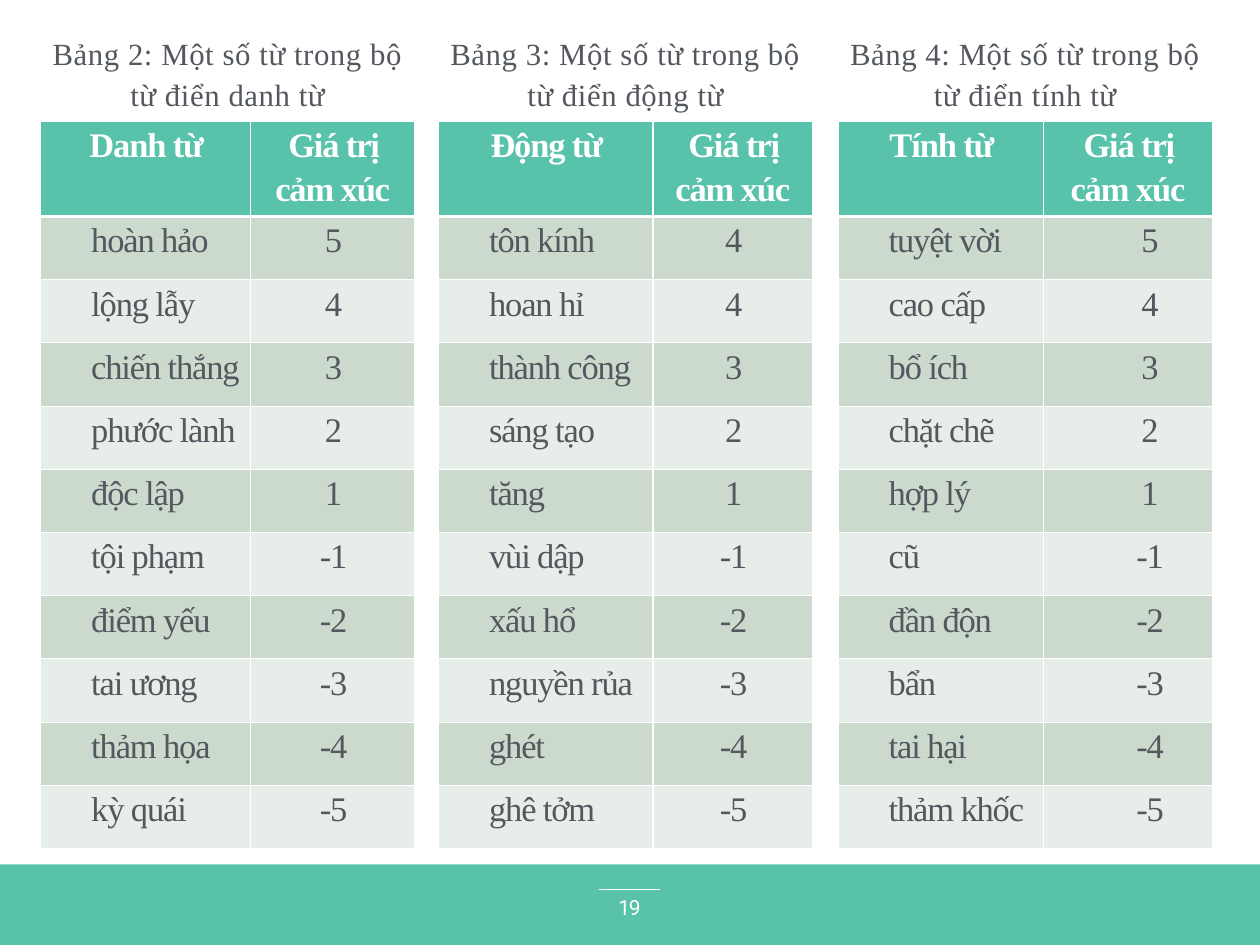
from pptx import Presentation
from pptx.dml.color import RGBColor
from pptx.enum.shapes import MSO_CONNECTOR, MSO_SHAPE
from pptx.enum.text import MSO_ANCHOR, PP_ALIGN
from pptx.oxml.ns import qn
from pptx.util import Inches, Pt
from lxml.etree import SubElement

COLOURS = {
    "band": "58C3A9",
    "header": "58C3AA",
    "odd_row": "CCDACD",
    "even_row": "E7EDE8",
    "ink": "53585F",
    "white": "FFFFFF",
}

DICTIONARIES = [
    {
        "caption": "Bảng 2: Một số từ trong bộ từ điển danh từ",
        "kind": "Danh từ",
        "left": 0.46,
        "columns": (2.37, 1.85),
        "word_align": PP_ALIGN.LEFT,
        "score_indent": 0.02,
        "words": ["hoàn hảo", "lộng lẫy", "chiến thắng", "phước lành", "độc lập",
                  "tội phạm", "điểm yếu", "tai ương", "thảm họa", "kỳ quái"],
        "scores": [5, 4, 3, 2, 1, -1, -2, -3, -4, -5],
    },
    {
        "caption": "Bảng 3: Một số từ trong bộ từ điển động từ",
        "kind": "Động từ",
        "left": 4.95,
        "columns": (2.42, 1.8),
        "word_align": PP_ALIGN.JUSTIFY,
        "score_indent": 0.02,
        "words": ["tôn kính", "hoan hỉ", "thành công", "sáng tạo", "tăng",
                  "vùi dập", "xấu hổ", "nguyền rủa", "ghét", "ghê tởm"],
        "scores": [4, 4, 3, 2, 1, -1, -2, -3, -4, -5],
    },
    {
        "caption": "Bảng 4: Một số từ trong bộ từ điển tính từ",
        "kind": "Tính từ",
        "left": 9.46,
        "columns": (2.32, 1.9),
        "word_align": PP_ALIGN.JUSTIFY,
        "score_indent": 0.5,
        "words": ["tuyệt vời", "cao cấp", "bổ ích", "chặt chẽ", "hợp lý",
                  "cũ", "đần độn", "bẩn", "tai hại", "thảm khốc"],
        "scores": [5, 4, 3, 2, 1, -1, -2, -3, -4, -5],
    },
]

SLIDE_WIDTH, SLIDE_HEIGHT = 14.22, 10.67
TABLE_TOP, TABLE_WIDTH, TABLE_HEIGHT, HEADER_HEIGHT = 1.37, 4.22, 8.21, 1.07


def assign(target, values):
    """Set every named attribute of the target."""
    for name, value in values.items():
        setattr(target, name, value)


class SlideBuilder:
    """Holds the shared style and the slide being filled."""

    serif = "Times New Roman"
    sans = "Roboto"

    def __init__(self, slide):
        self.slide = slide

    def colour(self, name):
        """Return the named colour."""
        return RGBColor.from_string(COLOURS[name])

    def paragraph(self, frame, text, font, colour, spacing, **paragraph_format):
        """Fill a text frame with one formatted paragraph."""
        paragraph = frame.paragraphs[0]
        assign(paragraph, paragraph_format)
        run = paragraph.add_run()
        run.text = text
        assign(run.font, font)
        run.font.color.rgb = self.colour(colour)
        run.font._element.set("spc", str(round(spacing * 100)))
        return paragraph

    def text(self, box, content, font, colour, spacing, line_spacing, inset):
        """Add a centred text box."""
        frame = self.slide.shapes.add_textbox(*map(Inches, box)).text_frame
        margins = ("margin_left", "margin_top", "margin_right", "margin_bottom")
        assign(frame, dict.fromkeys(margins, Inches(inset)))
        assign(frame, {"word_wrap": True, "vertical_anchor": MSO_ANCHOR.MIDDLE})
        self.paragraph(frame, content, font, colour, spacing,
                       alignment=PP_ALIGN.CENTER, line_spacing=line_spacing)

    def band(self, box, colour):
        """Add a plain filled rectangle."""
        band = self.slide.shapes.add_shape(MSO_SHAPE.RECTANGLE, *map(Inches, box))
        band.shadow.inherit = False
        band.fill.solid()
        band.fill.fore_color.rgb = self.colour(colour)
        band.line.fill.background()

    def rule(self, ends, colour, width):
        """Add a straight line."""
        rule = self.slide.shapes.add_connector(MSO_CONNECTOR.STRAIGHT, *map(Inches, ends))
        rule.line.color.rgb = self.colour(colour)
        rule.line.width = Pt(width)
        SubElement(rule._element.spPr, qn("a:effectLst"))

    def borders(self, cell, widths):
        """Draw white cell borders with the given widths."""
        properties = cell._tc.get_or_add_tcPr()
        for side, width in widths.items():
            edge = SubElement(properties, qn(f"a:ln{side}"), w=str(Pt(width)))
            fill = SubElement(edge, qn("a:solidFill"))
            SubElement(fill, qn("a:srgbClr"), val=COLOURS["white"])

    def cell(self, cell, row, text, alignment, indent):
        """Format and fill one table cell."""
        header = row == 0
        self.borders(cell, {"L": 1, "R": 1, "T": 3 if row == 1 else 1, "B": 3 if header else 1})
        cell.fill.solid()
        shade = "header" if header else "odd_row" if row % 2 else "even_row"
        cell.fill.fore_color.rgb = self.colour(shade)
        assign(cell, {"margin_left": Inches(0.07), "margin_right": Inches(0.07),
                      "margin_top": 0, "margin_bottom": 0})
        font = {"name": self.serif, "size": Pt(28), "bold": header}
        paragraph = self.paragraph(cell.text_frame, text, font, "white" if header else "ink", -0.9,
                                   alignment=alignment, line_spacing=1.15, space_after=Pt(6))
        paragraph._p.get_or_add_pPr().set("indent", str(Inches(indent)))

    def dictionary(self, kind, left, columns, word_align, score_indent, words, scores):
        """Add a table of words and their sentiment scores."""
        entries = [(kind, "Giá trị cảm xúc"), *zip(words, map(str, scores))]
        table = self.slide.shapes.add_table(
            len(entries), len(columns), Inches(left), Inches(TABLE_TOP),
            Inches(TABLE_WIDTH), Inches(TABLE_HEIGHT)).table
        for column, width in zip(table.columns, columns):
            column.width = Inches(width)
        row_height = (TABLE_HEIGHT - HEADER_HEIGHT) / len(words)
        header_layout = [(PP_ALIGN.CENTER, 0.02)] * 2
        entry_layout = [(word_align, 0.5), (PP_ALIGN.CENTER, score_indent)]
        for row, entry in enumerate(entries):
            table.rows[row].height = Inches(row_height if row else HEADER_HEIGHT)
            layout = entry_layout if row else header_layout
            for column, (text, (alignment, indent)) in enumerate(zip(entry, layout)):
                self.cell(table.cell(row, column), row, text, alignment, indent)


def main():
    """Build and save the sentiment dictionary slide."""
    deck = Presentation()
    assign(deck, {"slide_width": Inches(SLIDE_WIDTH), "slide_height": Inches(SLIDE_HEIGHT)})
    builder = SlideBuilder(deck.slides.add_slide(deck.slide_layouts[6]))
    builder.band((0, 9.76, SLIDE_WIDTH, 0.91), "band")
    builder.rule((6.76, 10.04, 7.45, 10.04), "white", 0.5)
    builder.text((6.82, 10.05, 0.57, 0.42), "19",
                 {"name": builder.sans, "size": Pt(17)}, "white", -0.9, 0.9, 0.05)
    for dictionary in DICTIONARIES:
        details = dict(dictionary)
        caption = details.pop("caption")
        builder.dictionary(**details)
        builder.text((details["left"], 0.29, TABLE_WIDTH, 1.04), caption,
                     {"name": builder.serif, "size": Pt(25)}, "ink", 0.5, 1.1, 0.06)
    deck.save("out.pptx")


if __name__ == "__main__":
    main()
